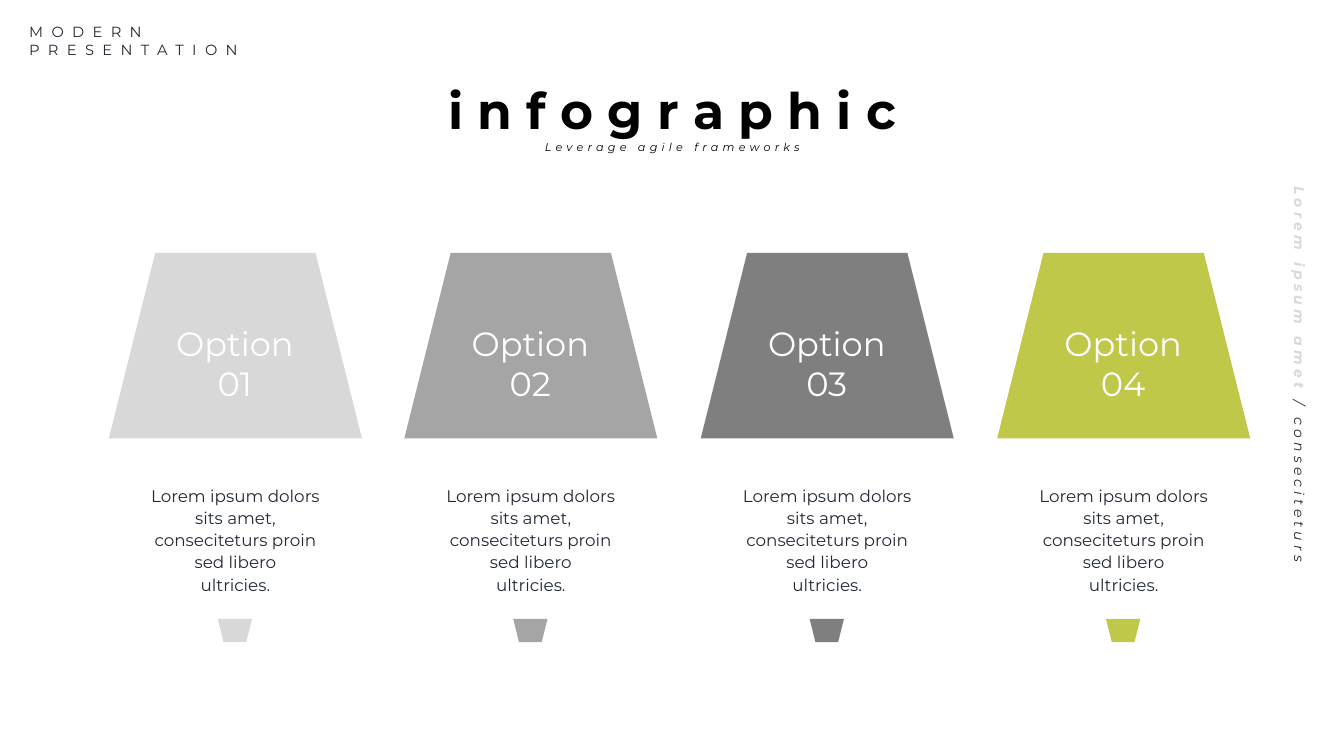
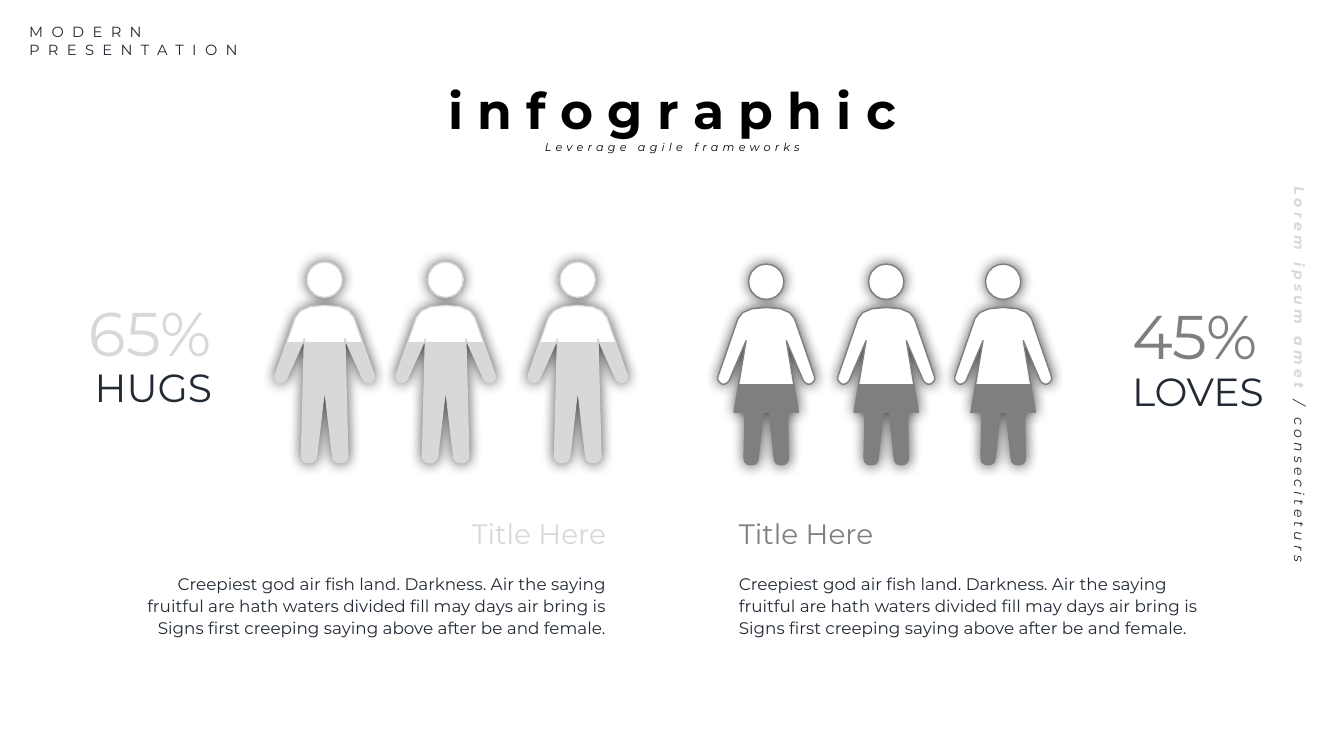
import dataclasses
import math
import typing

import lxml.etree
import pptx
import pptx.dml.color
import pptx.enum.shapes
import pptx.enum.text
import pptx.oxml.ns
import pptx.presentation
import pptx.shapes.autoshape
import pptx.slide
import pptx.text.text
import pptx.util

EMU_PER_PX = 9144
FONT = "Montserrat"
RGB = pptx.dml.color.RGBColor
WHITE = RGB(0xFF, 0xFF, 0xFF)
BLACK = RGB(0x00, 0x00, 0x00)
INK = RGB(0x22, 0x2A, 0x35)
LIGHT = RGB(0xD8, 0xD8, 0xD8)
MEDIUM = RGB(0xA5, 0xA5, 0xA5)
DARK = RGB(0x7F, 0x7F, 0x7F)
LIME = RGB(0xBF, 0xC8, 0x48)

ALIGN = pptx.enum.text.PP_ALIGN
TRAPEZOID = pptx.enum.shapes.MSO_SHAPE.TRAPEZOID

Point = tuple[float, float]
Segment = tuple[Point, ...]


def px(length: float) -> pptx.util.Emu:
    return pptx.util.Emu(round(length * EMU_PER_PX))


@dataclasses.dataclass(frozen=True)
class Area:
    left: int
    top: int
    width: int
    height: int

    def emu(self) -> tuple[pptx.util.Emu, ...]:
        return tuple(px(side) for side in dataclasses.astuple(self))


@dataclasses.dataclass(frozen=True)
class TextStyle:
    size: float
    color: RGB
    align: ALIGN = ALIGN.LEFT
    line_spacing: float = 1.0
    bold: bool = False
    italic: bool = False
    tracking: int = 0


@dataclasses.dataclass(frozen=True)
class Option:
    label: str
    color: RGB


@dataclasses.dataclass(frozen=True)
class Figure:
    top: int
    white_share: float
    half_outline: tuple[Segment, ...]


@dataclasses.dataclass(frozen=True)
class Group:
    figure: Figure
    centers: tuple[int, ...]
    color: RGB
    align: ALIGN
    percent: str
    percent_area: Area
    label: str
    label_area: Area
    text_left: int


OPTIONS = (
    Option("Option 01", LIGHT),
    Option("Option 02", MEDIUM),
    Option("Option 03", DARK),
    Option("Option 04", LIME),
)
FIRST_CARD, LAST_CARD, CARD_WIDTH = 108, 989, 251
OPTION_TEXT = "Lorem ipsum dolors sits amet, conseciteturs proin sed libero\nultricies."
GROUP_TEXT = (
    "Creepiest god air fish land. Darkness. Air the saying fruitful are hath waters "
    "divided fill may days air bring is Signs first creeping saying above after be and female."
)

HEAD_RADIUS = 17.5
HEAD_STEPS = 20
CURVE_STEPS = 3
MAN = Figure(260, 0.4, (
    ((0, 43),),
    ((18, 43), (25, 47), (29, 55)),
    ((49, 112),),
    ((50, 115), (48, 118), (46, 119)),
    ((42, 120), (40, 119), (38, 116)),
    ((20, 76),),
    ((23, 193),),
    ((23, 197), (19, 199), (16, 199)),
    ((12, 199), (8, 197), (8, 193)),
    ((0, 125),),
))
WOMAN = Figure(262, 0.6, (
    ((0, 43),),
    ((17, 43), (25, 47), (28, 54)),
    ((48, 112),),
    ((49, 115), (47, 117), (44, 119)),
    ((41, 120), (39, 118), (37, 116)),
    ((20, 76),),
    ((32, 147),),
    ((21, 147),),
    ((22, 193),),
    ((22, 197), (19, 199), (15, 199)),
    ((11, 199), (8, 197), (8, 193)),
    ((3, 147),),
))
GROUPS = (
    Group(MAN, (322, 442, 573), LIGHT, ALIGN.RIGHT, "65%", Area(76, 288, 144, 84),
          "HUGS", Area(82, 356, 138, 57), 118),
    Group(WOMAN, (760, 879, 995), DARK, ALIGN.LEFT, "45%", Area(1113, 291, 147, 84),
          "LOVES", Area(1113, 359, 154, 57), 723),
)


def format_span(span: pptx.text.text._Run, style: TextStyle) -> None:
    span.font.name = FONT
    span.font.size = pptx.util.Pt(style.size)
    span.font.bold = style.bold
    span.font.italic = style.italic
    span.font.color.rgb = style.color
    if style.tracking:
        span._r.get_or_add_rPr().set("spc", str(style.tracking * 100))


def write_text(
    frame: pptx.text.text.TextFrame, text: str, style: TextStyle, wrap: bool = True, inset: bool = True
) -> None:
    frame.text = text
    frame.word_wrap = wrap
    frame.auto_size = pptx.enum.text.MSO_AUTO_SIZE.SHAPE_TO_FIT_TEXT
    frame.vertical_anchor = pptx.enum.text.MSO_ANCHOR.TOP
    if not inset:
        frame.margin_left = frame.margin_top = frame.margin_right = frame.margin_bottom = 0
    for para in frame.paragraphs:
        para.alignment = style.align
        para.line_spacing = style.line_spacing
        for span in para.runs:
            format_span(span, style)


def add_text(
    page: pptx.slide.Slide, area: Area, text: str, style: TextStyle, wrap: bool = True, inset: bool = True
) -> pptx.shapes.autoshape.Shape:
    box = page.shapes.add_textbox(*area.emu())
    write_text(box.text_frame, text, style, wrap, inset)
    return box


def add_trapezoid(page: pptx.slide.Slide, area: Area, color: RGB, rotation: int = 0) -> None:
    shape = page.shapes.add_shape(TRAPEZOID, *area.emu())
    shape.shadow.inherit = False
    shape.rotation = rotation
    shape.fill.solid()
    shape.fill.fore_color.rgb = color
    shape.line.fill.background()


def bezier(points: typing.Sequence[Point], ratio: float) -> Point:
    while len(points) > 1:
        points = [
            (x0 + (x1 - x0) * ratio, y0 + (y1 - y0) * ratio)
            for (x0, y0), (x1, y1) in zip(points, points[1:])
        ]
    return points[0]


def body_outline(figure: Figure) -> list[Point]:
    half = [figure.half_outline[0][0]]
    for segment in figure.half_outline[1:]:
        if len(segment) == 1:
            half.append(segment[0])
        else:
            curve = (half[-1], *segment)
            half += [bezier(curve, step / CURVE_STEPS) for step in range(1, CURVE_STEPS + 1)]
    return half + [(-x, y) for x, y in reversed(half) if x]


def head_outline() -> list[Point]:
    angles = [math.tau * step / HEAD_STEPS for step in range(HEAD_STEPS)]
    return [(HEAD_RADIUS * math.sin(angle), HEAD_RADIUS * (1 - math.cos(angle))) for angle in angles]


def add_glow(shape: pptx.shapes.autoshape.Shape) -> None:
    qn = pptx.oxml.ns.qn
    shape.shadow.inherit = False
    effects = shape._element.spPr.find(qn("a:effectLst"))
    shadow = lxml.etree.SubElement(effects, qn("a:outerShdw"), blurRad=str(pptx.util.Pt(10)), dist="0", dir="0")
    color = lxml.etree.SubElement(shadow, qn("a:srgbClr"), val=str(BLACK))
    lxml.etree.SubElement(color, qn("a:alpha"), val="71000")


def add_figure(page: pptx.slide.Slide, figure: Figure, center: int, color: RGB) -> None:
    head, body = (
        [(px(center + x), px(figure.top + y)) for x, y in outline]
        for outline in (head_outline(), body_outline(figure))
    )
    builder = page.shapes.build_freeform(*head[0])
    builder.add_line_segments(head[1:], close=True)
    builder.move_to(*body[0])
    builder.add_line_segments(body[1:], close=True)
    shape = builder.convert_to_shape()
    shape.fill.gradient()
    shape.fill.gradient_angle = 270
    for stop, stop_color in zip(shape.fill.gradient_stops, (WHITE, color)):
        stop.position = figure.white_share
        stop.color.rgb = stop_color
    shape.line.color.rgb = color
    shape.line.width = pptx.util.Pt(1)
    add_glow(shape)


def add_page(deck: pptx.presentation.Presentation) -> pptx.slide.Slide:
    page = deck.slides.add_slide(deck.slide_layouts.get_by_name("Title Only"))
    title = page.shapes.title
    title.left, title.top, title.width, title.height = Area(344, 73, 645, 71).emu()
    write_text(title.text_frame, "i n f o g r a p h i c", TextStyle(36, BLACK, ALIGN.CENTER, bold=True))
    add_text(page, Area(487, 133, 360, 18), "Leverage agile frameworks",
             TextStyle(8, BLACK, ALIGN.CENTER, 1.5, italic=True, tracking=3), inset=False)
    add_text(page, Area(29, 23, 287, 35), "MODERN\nPRESENTATION", TextStyle(10.5, INK, tracking=6), inset=False)
    side_style = TextStyle(10, LIGHT, ALIGN.CENTER, 1.1, bold=True, italic=True, tracking=3)
    side = add_text(page, Area(932, 361, 716, 28), "Lorem ipsum amet ", side_style)
    side.rotation = 90
    span = side.text_frame.paragraphs[0].add_run()
    span.text = "/ conseciteturs "
    format_span(span, dataclasses.replace(side_style, color=INK, bold=False))
    return page


def add_options_page(deck: pptx.presentation.Presentation) -> None:
    page = add_page(deck)
    for index, option in enumerate(OPTIONS):
        left = FIRST_CARD + (LAST_CARD - FIRST_CARD) * index // (len(OPTIONS) - 1)

        def centered(top: int, width: int, height: int) -> Area:
            return Area(left + (CARD_WIDTH - width) // 2, top, width, height)

        add_trapezoid(page, centered(251, CARD_WIDTH, 184), option.color)
        add_text(page, centered(315, 176, 91), option.label, TextStyle(24, WHITE, ALIGN.CENTER))
        add_text(page, centered(475, 199, 121), OPTION_TEXT, TextStyle(12, INK, ALIGN.CENTER, 1.1))
        add_trapezoid(page, centered(614, 34, 23), option.color, rotation=180)


def add_people_page(deck: pptx.presentation.Presentation) -> None:
    page = add_page(deck)
    for group in GROUPS:
        for center in group.centers:
            add_figure(page, group.figure, center, group.color)
        add_text(page, group.percent_area, group.percent, TextStyle(44, group.color, group.align), wrap=False)
        add_text(page, group.label_area, group.label, TextStyle(28, INK, group.align), wrap=False)
        add_text(page, Area(group.text_left, 504, 493, 44), "Title Here",
                 TextStyle(20, group.color, group.align, 1.1))
        add_text(page, Area(group.text_left, 562, 493, 77), GROUP_TEXT, TextStyle(12, INK, group.align, 1.1))


def main() -> None:
    deck = pptx.Presentation()
    deck.slide_width, deck.slide_height = px(1333), px(750)
    add_options_page(deck)
    add_people_page(deck)
    deck.save("out.pptx")


if __name__ == "__main__":
    main()
